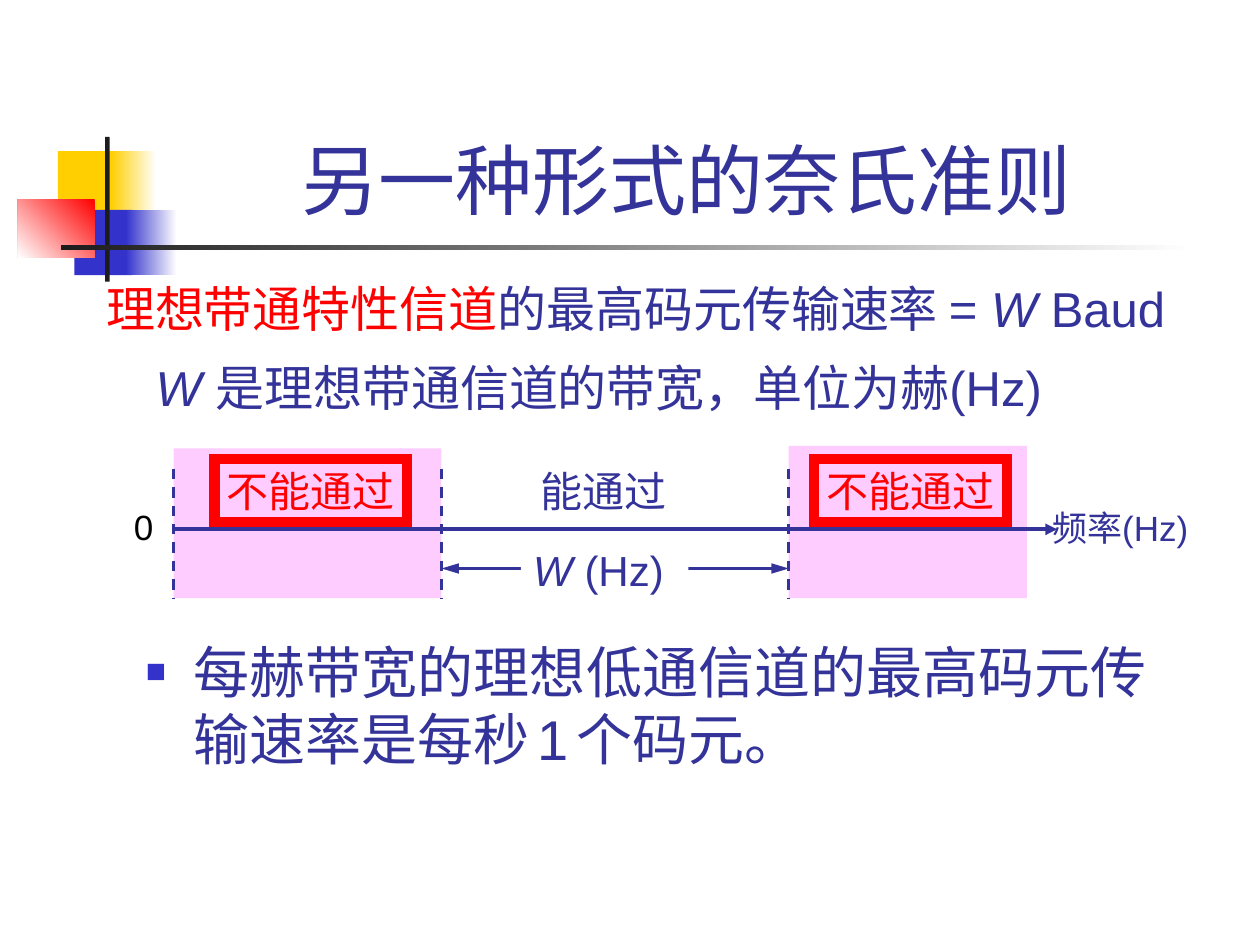
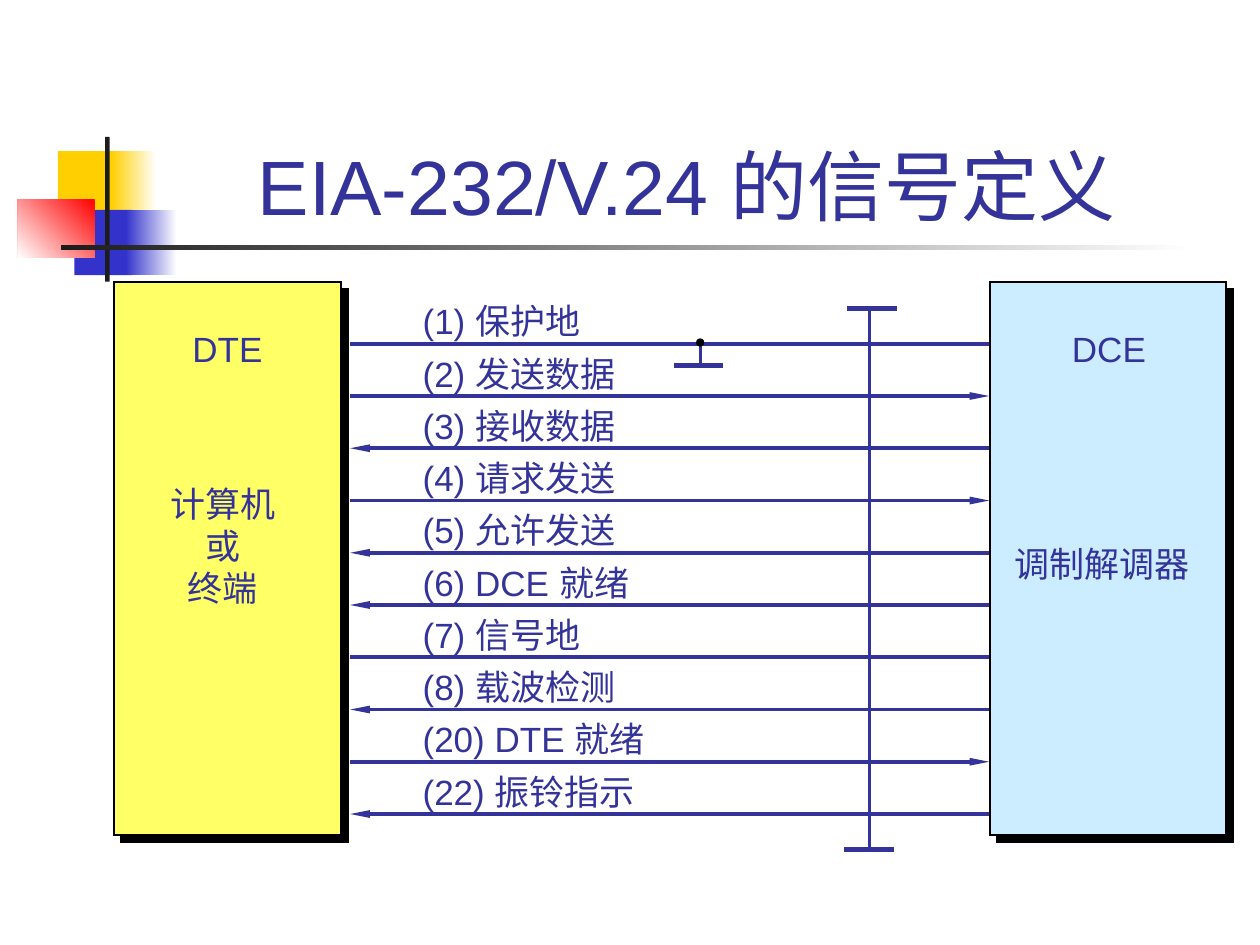
from lxml.etree import SubElement
from pptx import Presentation
from pptx.dml.color import RGBColor
from pptx.enum.dml import MSO_LINE
from pptx.enum.shapes import MSO_CONNECTOR, MSO_SHAPE
from pptx.enum.text import MSO_ANCHOR, MSO_AUTO_SIZE, PP_ALIGN
from pptx.oxml.ns import qn
from pptx.util import Cm, Pt

NAVY = RGBColor(0x33, 0x33, 0x99)
BLUE = RGBColor(0x33, 0x33, 0xCC)
RED = RGBColor(0xFF, 0x00, 0x00)
GOLD = RGBColor(0xFF, 0xCF, 0x01)
CHARCOAL = RGBColor(0x1C, 0x1C, 0x1C)
PINK = RGBColor(0xFF, 0xCC, 0xFF)
YELLOW = RGBColor(0xFF, 0xFF, 0x66)
SKY = RGBColor(0xCC, 0xEC, 0xFF)
BLACK = RGBColor(0x00, 0x00, 0x00)
WHITE = RGBColor(0xFF, 0xFF, 0xFF)


def add_label(slide, box, size, *paragraphs, align=None, wrap=False):
    """Add text at box (cm); a paragraph is a list of (text, style) runs."""
    label = slide.shapes.add_textbox(*map(Cm, box))
    frame = label.text_frame
    frame.word_wrap = wrap
    frame.auto_size = MSO_AUTO_SIZE.NONE if wrap else MSO_AUTO_SIZE.SHAPE_TO_FIT_TEXT
    for i, runs in enumerate(paragraphs):
        paragraph = frame.add_paragraph() if i else frame.paragraphs[0]
        paragraph.alignment = align
        for text, style in runs:
            run = paragraph.add_run()
            run.text = text
            run.font.name = style.get("font", "Arial")
            run.font.size = Pt(style.get("size", size))
            run.font.color.rgb = style.get("color", NAVY)
            run.font.italic = style.get("italic")
            run.font.bold = style.get("bold")
    return label


def add_line(slide, x1, y1, x2, y2, width, arrows=(), head=("med", "med"), dashed=False):
    """Draw a line in cm; arrows lists headEnd (start) or tailEnd (end), head is (width, length)."""
    line = slide.shapes.add_connector(MSO_CONNECTOR.STRAIGHT, *map(Cm, (x1, y1, x2, y2)))
    line.line.color.rgb = NAVY
    line.line.width = Pt(width)
    if dashed:
        line.line.dash_style = MSO_LINE.DASH
    properties = line.element.spPr
    for end in arrows:
        SubElement(properties.find(qn("a:ln")), qn(f"a:{end}"),
                   type="triangle", w=head[0], len=head[1])
    SubElement(properties, qn("a:effectLst"))


prs = Presentation()
prs.slide_width, prs.slide_height = Cm(25.4), Cm(19.05)
title_only = prs.slide_layouts[5]

# Slides and titles
slides = []
for title_text, title_top in [("另一种形式的奈氏准则 ", 0.6), ("EIA-232/V.24 的信号定义 ", 0.73)]:
    slide = prs.slides.add_slide(title_only)
    title = slide.shapes.title
    title.left, title.top, title.width, title.height = map(Cm, (3.2, title_top, 21.64, 4.06))
    title.text_frame.auto_size = MSO_AUTO_SIZE.NONE
    title.text_frame.vertical_anchor = MSO_ANCHOR.BOTTOM
    heading = title.text_frame.paragraphs[0]
    heading.alignment = PP_ALIGN.CENTER
    run = heading.add_run()
    run.text = title_text
    run.font.name, run.font.size = "Arial", Pt(44)
    run.font.color.rgb = NAVY
    slides.append(slide)
nyquist, signals = slides

# Shared ornament, moved to the layout: box, colours, gradient angle
ornament = [
    ((1.17, 3.05, 1.22, 1.32), [GOLD], None),
    ((2.24, 3.05, 0.91, 1.32), [WHITE, GOLD], 180),
    ((1.5, 4.23, 1.17, 1.32), [BLUE], None),
    ((2.54, 4.23, 1.02, 1.32), [WHITE, BLUE], 180),
    ((0.36, 4.02, 1.55, 1.17), [RED, WHITE], 225),
    ((2.12, 2.76, 0.09, 2.92), [CHARCOAL], None),
    ((1.23, 4.94, 22.86, 0.1), [WHITE, CHARCOAL], 180),
]
for depth, (box, colors, angle) in enumerate(ornament, start=2):
    block = nyquist.shapes.add_shape(MSO_SHAPE.RECTANGLE, *map(Cm, box))
    block.shadow.inherit = False
    block.line.fill.background()
    if angle is None:
        block.fill.solid()
        block.fill.fore_color.rgb = colors[0]
    else:
        block.fill.gradient()
        block.fill.gradient_angle = angle
        for stop, color, position in zip(block.fill.gradient_stops, colors, (0, 1)):
            stop.color.rgb = color
            stop.position = position
    title_only.shapes.element.insert(depth, block.element)

# Slide 1: pass band of an ideal channel
BAND_START, PASS_START, PASS_END = 3.5, 8.9, 15.9
for box in [(BAND_START, 9.04, 5.4, 3.02), (PASS_END, 8.99, 4.8, 3.07)]:
    stop_band = nyquist.shapes.add_shape(MSO_SHAPE.RECTANGLE, *map(Cm, box))
    stop_band.shadow.inherit = False
    stop_band.fill.solid()
    stop_band.fill.fore_color.rgb = PINK
    stop_band.line.fill.background()

conclusion = add_label(
    nyquist, (2.69, 12.73, 21.59, 3.78), 32,
    [("每赫带宽的理想低通信道的最高码元传输速率是每秒", {}), (" ", {"size": 18}), ("1", {}),
     (" ", {"size": 16, "bold": True}), ("个码元。", {})],
    wrap=True)
bullet = conclusion.text_frame.paragraphs[0]
bullet.space_before = Pt(8)
bullet_props = bullet._p.get_or_add_pPr()
bullet_props.set("marL", str(Cm(0.97)))
bullet_props.set("indent", str(-Cm(0.97)))
SubElement(SubElement(bullet_props, qn("a:buClr")), qn("a:srgbClr"), val=str(BLUE))
SubElement(bullet_props, qn("a:buSzPct"), val="60000")
SubElement(bullet_props, qn("a:buFont"), typeface="Arial")
SubElement(bullet_props, qn("a:buChar"), char="■")

add_label(nyquist, (1.89, 5.49, 22.63, 1.45), 28,
          [("理想带通特性信道", {"font": "Karla", "color": RED}), ("的最高码元传输速率 = ", {}),
           ("W", {"italic": True}), (" Baud", {})])
add_label(nyquist, (2.89, 7.09, 19.1, 1.45), 28,
          [("W ", {"italic": True}), ("是理想带通信道的带宽，单位为赫(Hz)", {})])

add_line(nyquist, BAND_START, 10.67, 21.31, 10.67, 2.25, ["tailEnd"])
for edge in (BAND_START, PASS_START, PASS_END):
    add_line(nyquist, edge, 9.45, edge, 12.07, 1.5, dashed=True)
add_line(nyquist, PASS_START, 11.46, PASS_END, 11.46, 1.5, ["headEnd", "tailEnd"],
         head=("med", "lg"))

for left in (4.32, 16.41):
    blocked = add_label(nyquist, (left, 9.25, 3.89, 1.27), 24,
                        [("不能通过", {"font": "Karla", "color": RED})])
    blocked.line.color.rgb = RED
    blocked.line.width = Pt(6)
    SubElement(blocked.element.spPr.find(qn("a:ln")), qn("a:miter"), lim="800000")
add_label(nyquist, (10.64, 9.25, 3.05, 1.27), 24, [("能通过", {"font": "Karla"})])
add_label(nyquist, (2.45, 10.06, 0.89, 1.12), 20, [("0", {"color": BLACK})])
add_label(nyquist, (20.96, 10.08, 3.43, 1.12), 20, [("频率(Hz)", {})])
bandwidth = add_label(nyquist, (10.5, 10.85, 3.38, 1.27), 24,
                      [("W ", {"italic": True}), ("(Hz)", {})])
bandwidth.fill.solid()
bandwidth.fill.fore_color.rgb = WHITE

# Slide 2: signals between DTE and DCE
for left, width, color in [(2.3, 4.57, YELLOW), (19.96, 4.75, SKY)]:
    device = signals.shapes.add_shape(MSO_SHAPE.RECTANGLE, *map(Cm, (left, 5.69, width, 11.15)))
    device.shadow.inherit = False
    device.fill.solid()
    device.fill.fore_color.rgb = color
    device.line.color.rgb = BLACK
    device.line.width = Pt(1)
    SubElement(device.element.spPr.find(qn("a:ln")), qn("a:miter"), lim="800000")
    effects = device.element.spPr.find(qn("a:effectLst"))
    shadow = SubElement(effects, qn("a:outerShdw"), blurRad="0", dist=str(Pt(5.7)),
                        dir="2700000", algn="ctr", rotWithShape="0")
    SubElement(shadow, qn("a:srgbClr"), val=str(BLACK))

TO_DCE, TO_DTE, NO_ARROW = ["tailEnd"], ["headEnd"], []
circuits = [
    ("(1) 保护地", NO_ARROW),
    ("(2) 发送数据", TO_DCE),
    ("(3) 接收数据", TO_DTE),
    ("(4) 请求发送", TO_DCE),
    ("(5) 允许发送", TO_DTE),
    ("(6) DCE 就绪", TO_DTE),
    ("(7) 信号地", NO_ARROW),
    ("(8) 载波检测", TO_DTE),
    ("(20) DTE 就绪", TO_DCE),
    ("(22) 振铃指示", TO_DTE),
]
FIRST, LAST = 6.93, 16.41
for i, (name, arrow) in enumerate(circuits):
    y = FIRST + i * (LAST - FIRST) / (len(circuits) - 1)
    add_line(signals, 7.06, y, 19.94, y, 2.25, arrow, head=("sm", "lg"))
    add_label(signals, (8.27, y - 1.01, 5.6, 1.09), 20, [(name, {})], wrap=True)

# Ground symbol and interface boundary
for x1, y1, x2, y2, weight in [
    (14.12, 6.96, 14.12, 7.34, 1.5),
    (13.59, 7.37, 14.58, 7.37, 3),
    (17.02, 17.12, 18.03, 17.12, 3),
    (17.07, 6.22, 18.08, 6.22, 3),
    (17.53, 6.22, 17.53, 17.09, 1.5),
]:
    add_line(signals, x1, y1, x2, y2, weight)
ground_joint = signals.shapes.add_shape(MSO_SHAPE.OVAL, *map(Cm, (14.05, 6.84, 0.13, 0.13)))
ground_joint.shadow.inherit = False
ground_joint.fill.solid()
ground_joint.fill.fore_color.rgb = BLACK
ground_joint.line.color.rgb = BLACK
ground_joint.line.width = Pt(1)

add_label(signals, (3.63, 6.48, 1.93, 1.09), 20, [("DTE", {})])
add_label(signals, (21.36, 6.48, 2.01, 1.09), 20, [("DCE", {})])
add_label(signals, (3.18, 9.6, 2.62, 2.79), 20, [("计算机", {})], [("或", {})], [("终端", {})],
          align=PP_ALIGN.CENTER)
add_label(signals, (20.2, 10.81, 4.04, 1.09), 20, [("调制解调器", {})])

prs.save("out.pptx")
